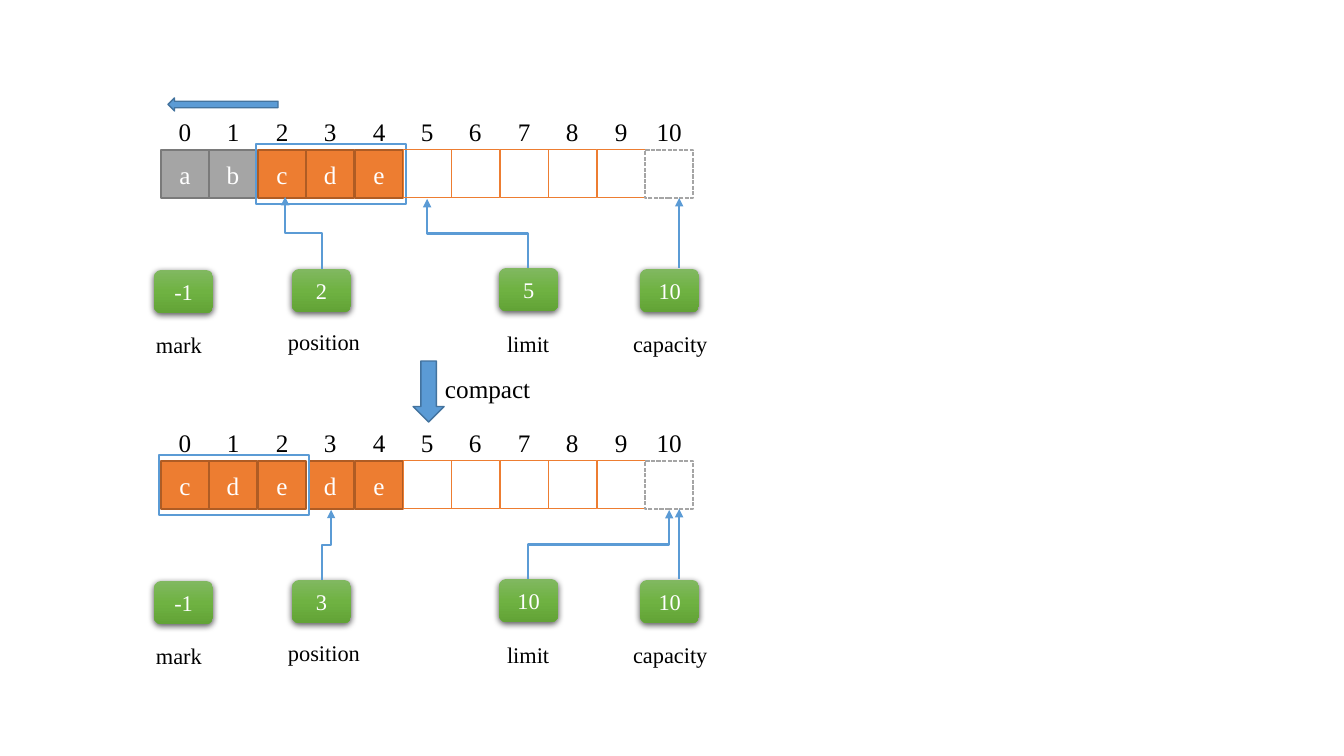
from copy import deepcopy

from lxml.etree import SubElement
from pptx import Presentation
from pptx.dml.color import RGBColor
from pptx.enum.dml import MSO_LINE
from pptx.enum.shapes import MSO_CONNECTOR, MSO_SHAPE
from pptx.enum.text import MSO_ANCHOR, MSO_AUTO_SIZE, PP_ALIGN
from pptx.oxml.ns import qn
from pptx.util import Inches, Pt

SCALE = 914400 / 100.8
FONT = "Times New Roman"
BLACK = RGBColor(0x00, 0x00, 0x00)
WHITE = RGBColor(0xFF, 0xFF, 0xFF)
ORANGE = RGBColor(0xED, 0x7D, 0x31)
RUST = RGBColor(0xAF, 0x5C, 0x24)
GRAY = RGBColor(0xA5, 0xA5, 0xA5)
SLATE = RGBColor(0x7A, 0x7A, 0x7A)
BLUE = RGBColor(0x5B, 0x9B, 0xD5)
NAVY = RGBColor(0x43, 0x73, 0x9E)
GREENS = (RGBColor(0x81, 0xB8, 0x61), RGBColor(0x6F, 0xB2, 0x42),
          RGBColor(0x62, 0xA3, 0x36))

LEFT, TOP, SIDE = 161, 150, 48
SLOTS = 10  # usable slots; one more marks the end
# name, button left and top, label left, top and width
FIELDS = (
    ("mark", 154, 270, 146, 326, 76),
    ("position", 292, 269, 278, 323, 102),
    ("limit", 499, 268, 497, 325, 73),
    ("capacity", 640, 269, 623, 325, 105),
)


def px(*sizes):
    """Turn pixels into EMU."""
    return [round(size * SCALE) for size in sizes]


def slot_x(index):
    """Left edge of a buffer slot."""
    return LEFT + round(index * 48.4)


def write(shape, text, size, color, align=PP_ALIGN.CENTER):
    """Put one styled paragraph into a shape."""
    para = shape.text_frame.paragraphs[0]
    para.text = text
    para.alignment = align
    para.font.name = FONT
    para.font.size = Pt(size)
    para.font.color.rgb = color


def add_box(slide, kind, area, fill, edge, width=1):
    """Draw a preset shape; a fill of None stays open."""
    shape = slide.shapes.add_shape(kind, *px(*area))
    shape.shadow.inherit = False
    if fill is None:
        shape.fill.background()
    else:
        shape.fill.solid()
        shape.fill.fore_color.rgb = fill
    shape.line.color.rgb = edge
    shape.line.width = Pt(width)
    return shape


def add_label(slide, text, area, size, align=PP_ALIGN.LEFT, wrap=False):
    """Add black text in a growing box."""
    box = slide.shapes.add_textbox(*px(*area))
    box.text_frame.word_wrap = wrap
    box.text_frame.auto_size = MSO_AUTO_SIZE.SHAPE_TO_FIT_TEXT
    write(box, text, size, BLACK, align)


def add_slot(slide, index, dy, text, stale):
    """Draw one buffer slot: stale, filled, free or the end mark."""
    area = (slot_x(index), TOP + dy, SIDE, SIDE)
    if index == SLOTS:
        look = (WHITE, GRAY)
    elif index in stale:
        look = (GRAY, SLATE)
    elif text:
        look = (ORANGE, RUST)
    else:
        look = (None, ORANGE, 0.75)
    slot = add_box(slide, MSO_SHAPE.RECTANGLE, area, *look)
    if index == SLOTS:
        slot.line.dash_style = MSO_LINE.SQUARE_DOT
    if text:
        slot.text_frame.vertical_anchor = MSO_ANCHOR.MIDDLE
        write(slot, text, 18, WHITE)


def add_row(slide, dy, data, start, under, stale=()):
    """Draw a buffer with its frame; slot `under` lies below the frame."""
    texts = list(data.ljust(SLOTS + 1))
    order = [under] + [i for i in range(SLOTS + 1) if i != under]
    for index in order:
        add_slot(slide, index, dy, texts[index].strip(), stale)
        if index == under:
            area = (slot_x(start) - 2, TOP + dy - 6, 150, 60)
            add_box(slide, MSO_SHAPE.RECTANGLE, area, WHITE, BLUE, 2)
    for index in range(SLOTS + 1):
        width = 54 if index == SLOTS else 34
        left = slot_x(index) + SIDE // 2 - width // 2
        add_label(slide, str(index), (left, dy + 111, width, 40), 18,
                  PP_ALIGN.CENTER)


def add_button(slide, text, left, top):
    """Draw a green value button with a soft shadow."""
    shape = slide.shapes.add_shape(MSO_SHAPE.ROUNDED_RECTANGLE,
                                   *px(left, top, 59, 43))
    shape.line.fill.background()
    shape.fill.gradient()
    shape.fill.gradient_angle = 270
    props = shape._element.spPr
    stops = props.find(".//" + qn("a:gsLst"))
    stops.insert(1, deepcopy(stops[0]))
    for rank, stop in enumerate(shape.fill.gradient_stops):
        stop.color.rgb = GREENS[rank]
        stop.position = rank / 2
    shape.shadow.inherit = False
    glow = SubElement(props.find(qn("a:effectLst")), qn("a:outerShdw"),
                      blurRad="57150", dist="19050", dir="5400000",
                      algn="ctr", rotWithShape="0")
    color = SubElement(glow, qn("a:srgbClr"), val=str(BLACK))
    SubElement(color, qn("a:alpha"), val="63000")
    shape.text_frame.vertical_anchor = MSO_ANCHOR.MIDDLE
    write(shape, text, 16, WHITE)


def add_arrow(slide, x, y, tip_x, tip_y):
    """Point upward to the tip, with an elbow when it is off to a side."""
    if x == tip_x:
        kind, ends, turn = MSO_CONNECTOR.STRAIGHT, (x, y, tip_x, tip_y), 0
    else:
        # The elbow lies on its side, then gets a quarter turn.
        kind, turn = MSO_CONNECTOR.ELBOW, 270 if tip_x < x else 90
        mid_x, mid_y = (x + tip_x) / 2, (y + tip_y) / 2
        half = (y - tip_y) / 2 * (1 if tip_x < x else -1)
        rise = abs(x - tip_x) / 2
        ends = (mid_x - half, mid_y + rise, mid_x + half, mid_y - rise)
    arrow = slide.shapes.add_connector(kind, *px(*ends))
    arrow.line.color.rgb = BLUE
    arrow.line.width = Pt(1.5)
    props = arrow._element.spPr
    if turn:
        props.find(qn("a:xfrm")).set("rot", str(turn * 60000))
    SubElement(props.find(qn("a:ln")), qn("a:tailEnd"), type="triangle")
    SubElement(props, qn("a:effectLst"))


def add_state(slide, dy, values, tips):
    """Draw the four fields below a buffer and their pointers."""
    for field, value in zip(FIELDS, values):
        name, left, top, text_x, text_y, width = field
        add_button(slide, value, left, top + dy)
        add_label(slide, name, (text_x, text_y + dy, width, 37), 16, wrap=True)
    for x, y, tip_x, tip_y in tips:
        add_arrow(slide, x, y + dy, tip_x, tip_y + dy)


def main():
    """Build the slide on buffer compaction."""
    deck = Presentation()
    deck.slide_width, deck.slide_height = Inches(13.33), Inches(7.5)
    slide = deck.slides.add_slide(deck.slide_layouts[6])
    end = (679, 268, 679, 198)
    add_row(slide, 0, "abcde", start=2, under=1, stale=(0, 1))
    add_state(slide, 0, ("-1", "2", "5", "10"),
              ((322, 269, 285, 197), (528, 268, 427, 199), end))
    add_row(slide, 311, "cdede", start=0, under=3)
    add_state(slide, 311, ("-1", "3", "10", "10"),
              ((322, 269, 331, 199), (528, 268, 669, 199), end))
    add_box(slide, MSO_SHAPE.DOWN_ARROW, (413, 361, 31, 61), BLUE, NAVY)
    add_label(slide, "compact", (435, 368, 107, 40), 18)
    add_box(slide, MSO_SHAPE.LEFT_ARROW, (168, 98, 110, 13), BLUE, NAVY)
    deck.save("out.pptx")


main()
